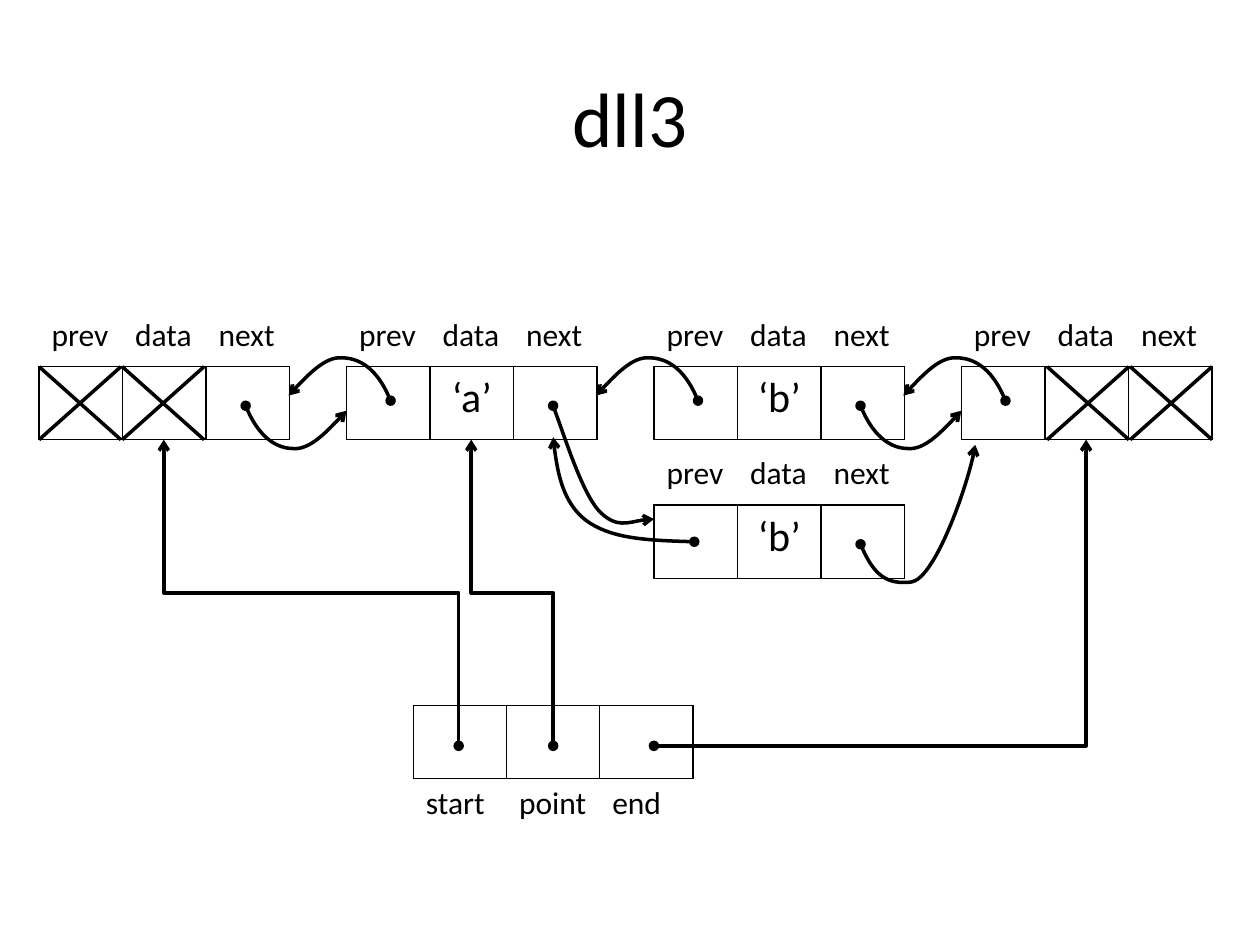
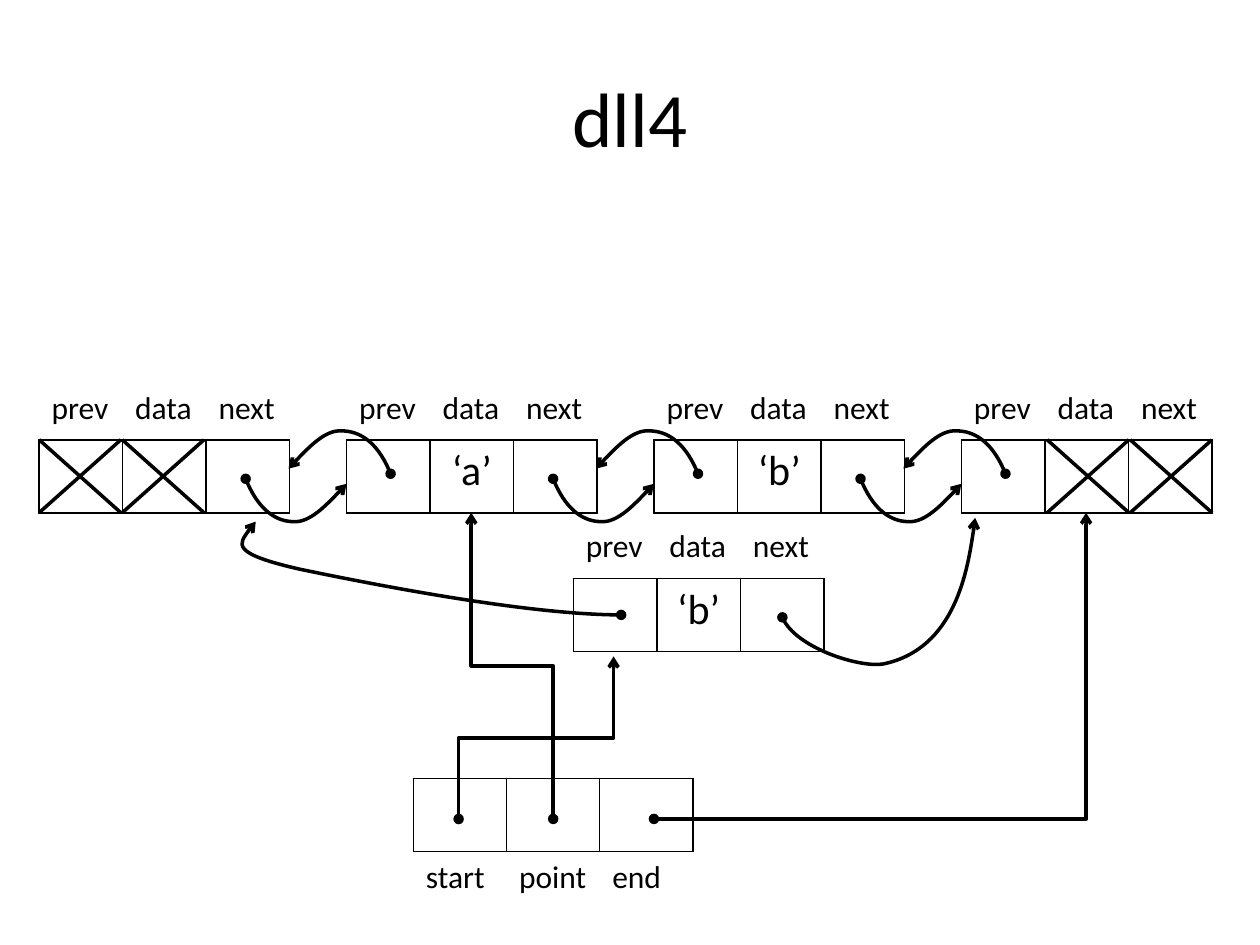
"""Build the two doubly linked list slides."""
from dataclasses import dataclass
from itertools import product

from lxml import etree
from pptx import Presentation
from pptx import util as u
from pptx.dml.color import RGBColor
from pptx.enum import shapes, text
from pptx.oxml.ns import qn

PX = 9144
FONT = "Calibri"
COLORS = {"ink": "000000", "paper": "FFFFFF"}
FIELDS = ("prev", "data", "next")
NODE_W, NODE_H, LABEL_H, LABEL_RISE = 199, 58, 40, 45
NODE_X = (31, 275, 519, 763)
NODE_VALUES = ("", "‘a’", "‘b’", "")
CROSS_X = (31, 97, 831, 897)
CROSS_W = 65
ROOT_X, ROOT_W, ROOT_DROP = 328, 222, 269
DOT_DROP = 301
PREV_LINK = ((35, 27), (25, 2), (10, -7), (-4, -7), (-17, -8), (-39, 15), (-46, 23))
NEXT_LINK = ((164, 31), (174, 56), (189, 65), (202, 65), (215, 66), (237, 43), (244, 35))

Point = tuple[int, int]


@dataclass(frozen=True)
class Curve:
    """A chain of cubic Bezier segments with its two end marks."""
    points: tuple[Point, ...]
    head: str = "oval"
    tail: str = "arrow"


@dataclass(frozen=True)
class Diagram:
    """One state of the list."""
    title: str
    row_y: int
    next_links: tuple[int, ...]
    new_node: Point
    start_target: Point
    curves: tuple[Curve, ...]


DIAGRAMS = (
    Diagram("dll3", 291, (0, 2), (519, 401), (130, 349), (
        Curve(((439, 322), (449, 349), (462, 390), (475, 405), (489, 420), (506, 412), (519, 412))),
        Curve(((683, 432), (693, 456), (704, 464), (723, 462), (741, 460), (771, 378), (774, 353))),
        Curve(((439, 347), (441, 369), (447, 399), (465, 413), (484, 427), (512, 429), (551, 430)),
              "arrow", "oval"),
    )),
    Diagram("dll4", 349, (0, 1, 2), (455, 459), (487, 521), (
        Curve(((621, 490), (631, 514), (683, 530), (701, 527), (759, 515), (771, 436), (774, 411))),
        Curve(((203, 414), (192, 427), (181, 439), (239, 452), (297, 464), (419, 488), (493, 488)),
              "arrow", "oval"),
    )),
)


def rgb(name: str) -> RGBColor:
    """Look up a named colour."""
    return RGBColor.from_string(COLORS[name])


def style_text(p, size: int, align=None) -> None:
    """Give a paragraph the shared font."""
    p.alignment = align
    p.font.name, p.font.size = FONT, u.Pt(size)
    p.font.color.rgb = rgb("ink")


def style_line(sp, head: str = "", tail: str = "") -> None:
    """Draw a thick line with optional end marks."""
    sp.line.color.rgb = rgb("ink")
    sp.line.width = u.Pt(2)
    ln = sp.element.spPr.find(qn("a:ln"))
    for tag, mark in (("a:headEnd", head), ("a:tailEnd", tail)):
        if mark:
            etree.SubElement(ln, qn(tag), type=mark)


def add_line(s, kind, begin: Point, end: Point, head: str = "", tail: str = ""):
    """Add a connector without a shadow."""
    c = s.shapes.add_connector(kind, *(round(v * PX) for v in (*begin, *end)))
    style_line(c, head, tail)
    etree.SubElement(c.element.spPr, qn("a:effectLst"))
    return c


def add_rising_elbow(s, begin: Point, end: Point) -> None:
    """Add an elbow that goes up, sideways and up again."""
    (x1, y1), (x2, y2) = begin, end
    cx, cy = (x1 + x2) / 2, (y1 + y2) / 2
    half_w, half_h = (y1 - y2) / 2, (x2 - x1) / 2
    c = add_line(s, shapes.MSO_CONNECTOR.ELBOW, (cx - half_w, cy - half_h),
                 (cx + half_w, cy + half_h), "oval", "arrow")
    c.element.spPr.find(qn("a:xfrm")).set("rot", str(270 * 60000))


def add_corner(s, begin: Point, end: Point) -> None:
    """Add a connector with a single bend, sideways first."""
    c = add_line(s, shapes.MSO_CONNECTOR.ELBOW, begin, end, "oval", "arrow")
    c.element.spPr.find(qn("a:prstGeom")).set("prst", "bentConnector2")


def add_curve(s, curve: Curve) -> None:
    """Add an open curve through its Bezier points."""
    fb = s.shapes.build_freeform(*curve.points[0], scale=PX)
    fb.add_line_segments(curve.points[1:], close=False)
    sp = fb.convert_to_shape()
    sp.fill.background()
    sp.shadow.inherit = False
    style_line(sp, curve.head, curve.tail)
    segments = list(sp.element.iter(qn("a:lnTo")))
    for i in range(0, len(segments), 3):
        bezier = etree.Element(qn("a:cubicBezTo"))
        segments[i].addprevious(bezier)
        for segment in segments[i:i + 3]:
            bezier.append(segment[0])
            segment.getparent().remove(segment)


def add_row(s, x: int, y: int, w: int, h: int, texts: tuple[str, ...], size: int,
            boxed: bool) -> None:
    """Add a one-row table, either boxed or as bare labels."""
    frame = s.shapes.add_table(1, len(texts), x * PX, y * PX, w * PX, h * PX)
    table = frame.table
    table.first_row = table.horz_banding = False
    for i, value in enumerate(texts):
        table.columns[i].width = w * PX // len(texts)
        cell = table.cell(0, i)
        if boxed:
            cell.fill.solid()
            cell.fill.fore_color.rgb = rgb("paper")
        else:
            cell.fill.background()
        if value:
            cell.text = value
            style_text(cell.text_frame.paragraphs[0], size,
                       text.PP_ALIGN.CENTER if boxed else None)
    for tc_pr in frame.element.iter(qn("a:tcPr")):
        for i, side in enumerate("LRTB"):
            ln = etree.Element(qn(f"a:ln{side}"), w=str(u.Pt(1)))
            tc_pr.insert(i, ln)
            if boxed:
                fill = etree.SubElement(ln, qn("a:solidFill"))
                etree.SubElement(fill, qn("a:srgbClr"), val=COLORS["ink"])
            else:
                etree.SubElement(ln, qn("a:noFill"))


def add_node(s, x: int, y: int, value: str) -> None:
    """Add a list node with its field names above."""
    add_row(s, x, y, NODE_W, NODE_H, ("", value, ""), 24, True)
    add_row(s, x, y - LABEL_RISE, NODE_W, LABEL_H, FIELDS, 18, False)


def add_title(s, title: str) -> None:
    """Add the centred slide title."""
    sp = s.shapes.add_textbox(50 * PX, 30 * PX, 900 * PX, 125 * PX)
    tf = sp.text_frame
    tf.word_wrap = True
    tf.vertical_anchor = text.MSO_ANCHOR.MIDDLE
    tf.text = title
    style_text(tf.paragraphs[0], 44, text.PP_ALIGN.CENTER)


def add_link(s, node: int, row_y: int, offsets: tuple[Point, ...]) -> None:
    """Add a link whose points are measured from a node's corner."""
    add_curve(s, Curve(tuple((NODE_X[node] + dx, row_y + dy) for dx, dy in offsets)))


def draw(s, d: Diagram) -> None:
    """Draw one list diagram."""
    top, bottom = d.row_y, d.row_y + NODE_H
    for x, value in zip(NODE_X, NODE_VALUES):
        add_node(s, x, top, value)
    for node in (1, 2, 3):
        add_link(s, node, top, PREV_LINK)
    for node in d.next_links:
        add_link(s, node, top, NEXT_LINK)
    for x, (y1, y2) in product(CROSS_X, ((top, bottom), (bottom, top))):
        add_line(s, shapes.MSO_CONNECTOR.STRAIGHT, (x, y1), (x + CROSS_W, y2))

    root_y, dot_y = top + ROOT_DROP, top + DOT_DROP
    add_row(s, ROOT_X, root_y + NODE_H, ROOT_W, LABEL_H, ("start", "point", "end"), 18, False)
    add_row(s, ROOT_X, root_y, ROOT_W, NODE_H, ("", "", ""), 24, True)
    add_rising_elbow(s, (364, dot_y), d.start_target)
    add_rising_elbow(s, (439, dot_y), (374, bottom))
    add_corner(s, (519, dot_y), (862, bottom))

    add_node(s, *d.new_node, "‘b’")
    for curve in d.curves:
        add_curve(s, curve)
    add_title(s, d.title)


def main() -> None:
    """Build and save the presentation."""
    prs = Presentation()
    prs.slide_width, prs.slide_height = 1000 * PX, 750 * PX
    for d in DIAGRAMS:
        draw(prs.slides.add_slide(prs.slide_layouts[6]), d)
    prs.save("out.pptx")


if __name__ == "__main__":
    main()
